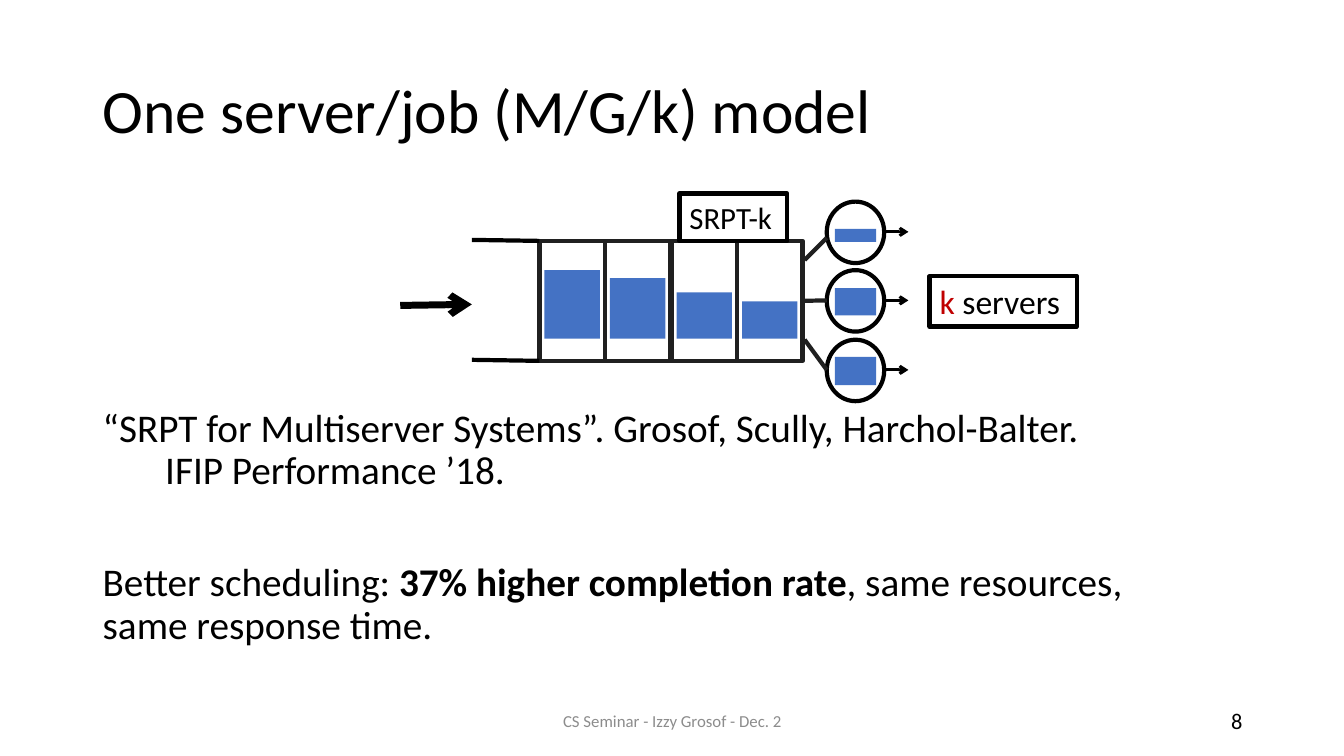
import pptx
import pptx.util
import pptx.dml.color
import pptx.enum.shapes
import pptx.enum.text
import pptx.oxml.ns
import lxml.etree

RGBColor = pptx.dml.color.RGBColor
BLACK = RGBColor(0x00, 0x00, 0x00)
WHITE = RGBColor(0xFF, 0xFF, 0xFF)
CHARCOAL = RGBColor(0x20, 0x20, 0x20)
BLUE = RGBColor(0x44, 0x72, 0xC4)
RED = RGBColor(0xC0, 0x00, 0x00)
GRAY = RGBColor(0x8C, 0x8C, 0x8C)

SHAPES = pptx.enum.shapes.MSO_SHAPE
ALIGN = pptx.enum.text.PP_ALIGN
ANCHOR = pptx.enum.text.MSO_ANCHOR
EMU_PER_PX = 9144


def emu(px):
    return pptx.util.Emu(px * EMU_PER_PX)


class SlideBuilder:
    """Draws styled elements on one page, with 100 px to the inch."""

    font_name = "Calibri"

    def __init__(self, page):
        self.page = page

    def add_spans(self, para, spans, size):
        for text, color, bold in spans:
            if text.startswith("\n"):
                para.add_line_break()
            span = para.add_run()
            span.text = text.lstrip("\n")
            span.font.name = self.font_name
            span.font.size = pptx.util.Pt(size)
            span.font.color.rgb = color
            span.font.bold = bold

    def text(self, left, top, width, height, paragraphs, size,
             align=ALIGN.LEFT, anchor=ANCHOR.MIDDLE, spacing=1.0, gap=0, hanging=0):
        box = self.page.shapes.add_textbox(*map(emu, (left, top, width, height)))
        frame = box.text_frame
        frame.word_wrap = True
        frame.vertical_anchor = anchor
        for index, spans in enumerate(paragraphs):
            para = frame.add_paragraph() if index else frame.paragraphs[0]
            para.alignment = align
            para.line_spacing = spacing
            if index:
                para.space_before = pptx.util.Pt(gap)
            elif hanging:
                properties = para._p.get_or_add_pPr()
                properties.set("marL", str(emu(hanging)))
                properties.set("indent", str(emu(-hanging)))
            self.add_spans(para, spans, size)

    def shape(self, kind, left, top, width, height, fill=None, line=None):
        shape = self.page.shapes.add_shape(kind, *map(emu, (left, top, width, height)))
        shape.shadow.inherit = False
        if fill is None:
            shape.fill.background()
        else:
            shape.fill.solid()
            shape.fill.fore_color.rgb = fill
        if line is None:
            shape.line.fill.background()
        else:
            shape.line.color.rgb = line
            shape.line.width = pptx.util.Pt(3)
        return shape

    def label(self, left, top, width, height, spans, size, fill=None):
        shape = self.shape(SHAPES.RECTANGLE, left, top, width, height, fill, BLACK)
        frame = shape.text_frame
        frame.word_wrap = True
        frame.vertical_anchor = ANCHOR.TOP
        frame.paragraphs[0].alignment = ALIGN.LEFT
        self.add_spans(frame.paragraphs[0], spans, size)

    def line(self, start, end, width=3, color=BLACK, arrow=False):
        line = self.page.shapes.add_connector(
            pptx.enum.shapes.MSO_CONNECTOR.STRAIGHT, *map(emu, (*start, *end)))
        line.line.color.rgb = color
        line.line.width = pptx.util.Pt(width)
        qn = pptx.oxml.ns.qn
        if arrow:
            outline = line.line._get_or_add_ln()
            lxml.etree.SubElement(outline, qn("a:tailEnd"), type="arrow")
        lxml.etree.SubElement(line._element.spPr, qn("a:effectLst"))
        return line


def draw_queue(builder):
    cells = []
    for index, job_height in enumerate((68, 60, 46, 37)):
        left = 535 + round(196 * index / 3)
        cells.append(builder.shape(SHAPES.RECTANGLE, left, 239, 65, 119, WHITE, CHARCOAL))
        builder.shape(SHAPES.RECTANGLE, left + 5, 336 - job_height, 55, job_height, BLUE)
    for y in (238, 357):
        builder.line((468, y), (535, y + 1))
    builder.line((397, 303), (468, 302), width=5, arrow=True)
    return cells[-1]


def draw_servers(builder, last_cell):
    servers = ((200, 27, 13, 258, 236), (268, 18, 27, 299, 298), (337, 17, 28, 337, 367))
    for top, job_offset, job_height, entry_start, entry_end in servers:
        builder.shape(SHAPES.OVAL, 820, top, 57, 61, WHITE, BLACK)
        builder.shape(SHAPES.RECTANGLE, 828, top + job_offset, 41, job_height, BLUE)
        builder.line((877, top + 30), (901, top + 30), width=2, arrow=True)
        entry = builder.line((798, entry_start), (820, entry_end), color=CHARCOAL)
        if entry_start == 299:
            entry.begin_connect(last_cell, 3)


def main():
    deck = pptx.Presentation()
    deck.slide_width, deck.slide_height = emu(1333), emu(750)
    builder = SlideBuilder(deck.slides.add_slide(deck.slide_layouts[6]))

    builder.text(92, 40, 1150, 145, [[("One server/job (M/G/k) model", BLACK, False)]],
                 44, spacing=0.9)
    builder.text(92, 400, 1052, 263, [
        [("“SRPT for Multiserver Systems”. Grosof, Scully, Harchol-Balter.", BLACK, False),
         ("\nIFIP Performance ’18.", BLACK, False)],
        [("Better scheduling: ", BLACK, False),
         ("37% higher completion rate", BLACK, True),
         (", same resources, same response time.", BLACK, False)],
    ], 28, anchor=ANCHOR.TOP, spacing=0.9, gap=50, hanging=62)
    builder.text(942, 695, 300, 40, [[("8", BLACK, False)]], 16, ALIGN.RIGHT)
    builder.text(442, 695, 450, 40, [[("CS Seminar - Izzy Grosof - Dec. 2", GRAY, False)]],
                 12, ALIGN.CENTER)

    last_cell = draw_queue(builder)
    draw_servers(builder, last_cell)
    builder.label(674, 192, 107, 47, [("SRPT-k", BLACK, False)], 22)
    builder.label(922, 274, 146, 50,
                  [("k ", RED, False), ("servers", BLACK, False)], 24, WHITE)
    deck.save("out.pptx")


if __name__ == "__main__":
    main()
